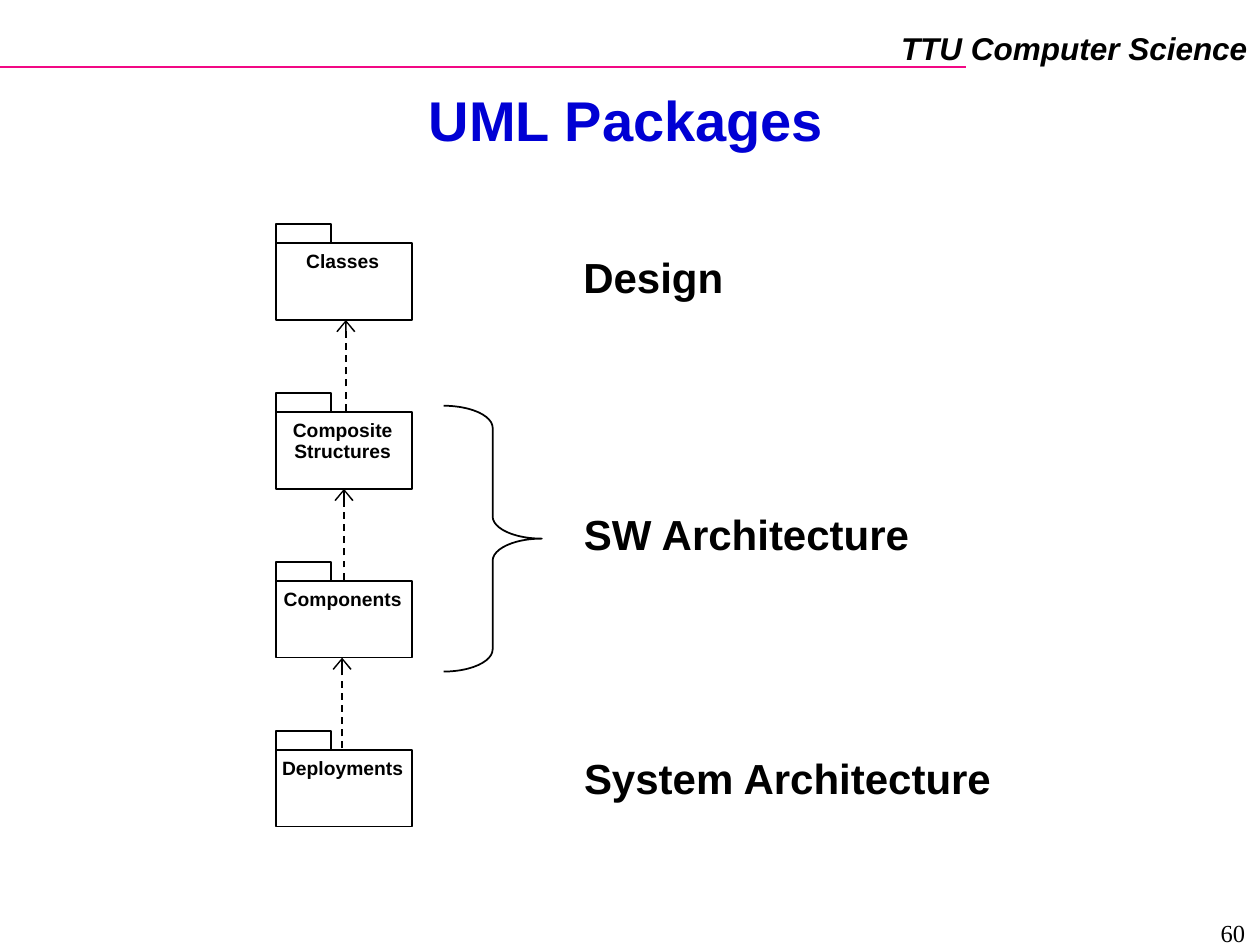
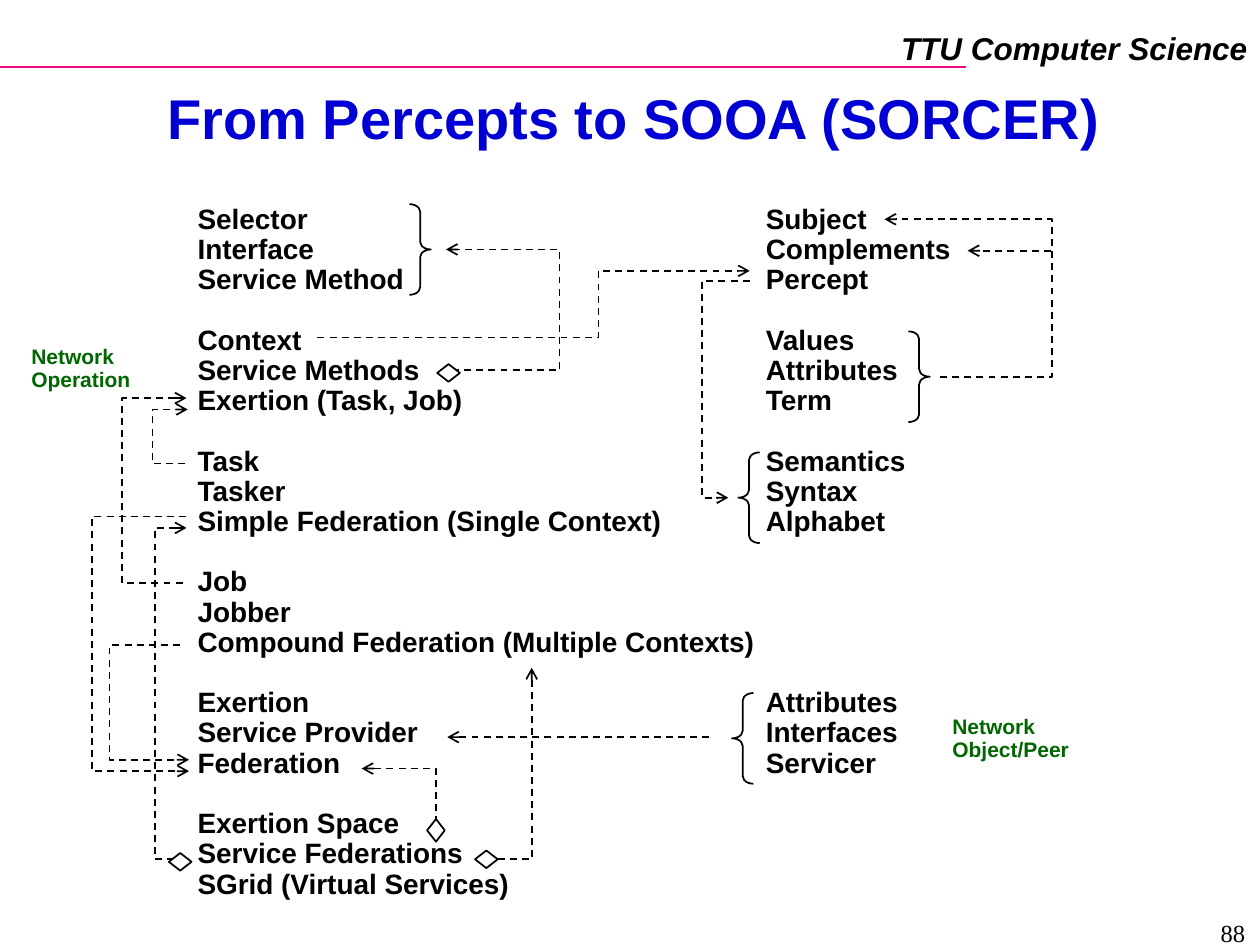
from pptx import Presentation
from pptx.dml.color import RGBColor
from pptx.enum.dml import MSO_LINE
from pptx.enum.shapes import MSO_CONNECTOR, MSO_SHAPE
from pptx.enum.text import MSO_ANCHOR, PP_ALIGN
from pptx.oxml.ns import qn
from pptx.util import Inches, Pt
from lxml.etree import SubElement

BLACK, WHITE, BLUE, PINK, GREEN = "000000", "FFFFFF", "0000D4", "F20884", "006600"
SANS, SERIF = "Arial", "Times New Roman"
LEFT, MID, RIGHT = PP_ALIGN.LEFT, PP_ALIGN.CENTER, PP_ALIGN.RIGHT
ROW = 17.25  # height of one line of the lists, in points


def tint(code):
    return RGBColor.from_string(code)


def write(slide, box, groups, size, align=LEFT, color=BLACK, font=SANS, bold=True,
          italic=False, wrap=False, space=0.9, gaps=(), anchor=MSO_ANCHOR.TOP):
    """Write groups of lines; gaps holds the blank rows before each later group."""
    frame = slide.shapes.add_textbox(*map(Inches, box)).text_frame
    frame.word_wrap = wrap
    frame.vertical_anchor = anchor
    para = None
    for g, group in enumerate(groups):
        for n, line in enumerate(group):
            para = frame.add_paragraph() if para else frame.paragraphs[0]
            para.alignment = align
            para.line_spacing = space
            if g and not n:
                para.space_before = Pt(ROW * gaps[g - 1])
            run = para.add_run()
            run.text = line
            run.font.name, run.font.size = font, Pt(size)
            run.font.bold, run.font.italic = bold, italic
            run.font.color.rgb = tint(color)


def ink(line, color=BLACK, head=None):
    """Style a line; head is the width of its arrowhead, if it has one."""
    line.color.rgb = tint(color)
    line.width = Pt(1)
    if head:
        line.dash_style = MSO_LINE.DASH
        SubElement(line._get_or_add_ln(), qn("a:tailEnd"), type="arrow", w=head)


def draw(slide, kind, box, fill=None):
    item = slide.shapes.add_shape(kind, *map(Inches, box))
    item.shadow.inherit = False
    if fill:
        item.fill.solid()
        item.fill.fore_color.rgb = tint(fill)
    else:
        item.fill.background()
    ink(item.line)
    return item


def brace(slide, kind, box):
    item = draw(slide, kind, box)
    item.adjustments[0] = box[3] / box[2] / 12


def join(slide, start, end, color=BLACK, head="med"):
    ends = map(Inches, (*start, *end))
    line = slide.shapes.add_connector(MSO_CONNECTOR.STRAIGHT, *ends)
    ink(line.line, color, head)
    SubElement(line._element.spPr, qn("a:effectLst"))


def bend(slide, points):
    """Draw a dashed arrow with corners, ending at the last point."""
    first, *rest = [(Inches(x), Inches(y)) for x, y in points]
    pen = slide.shapes.build_freeform(*first)
    pen.add_line_segments(rest, close=False)
    item = pen.convert_to_shape()
    item.shadow.inherit = False
    item.fill.background()
    ink(item.line, head="med")


def base(deck, title, box, number):
    """Add a slide with the header, title and page number."""
    slide = deck.slides.add_slide(deck.slide_layouts[6])
    join(slide, (0, 0.53), (7.67, 0.53), PINK, None)
    write(slide, (7.05, 0.18, 2.95, 0.4), [["TTU Computer Science"]], 18, RIGHT,
          italic=True, space=1.0)
    write(slide, box, [[title]], 32, MID, BLUE, wrap=True, space=0.87,
          anchor=MSO_ANCHOR.MIDDLE)
    write(slide, (7.65, 7.24, 2.33, 0.22), [[number]], 14, RIGHT, font=SERIF,
          bold=False, wrap=True, space=1.0)
    return slide


def package(slide, left, top, lines):
    draw(slide, MSO_SHAPE.RECTANGLE, (left, top + 0.15, 1.08, 0.61))
    draw(slide, MSO_SHAPE.RECTANGLE, (left, top, 0.44, 0.15))
    write(slide, (left - 0.06, top + 0.17, 1.18, 0.27), [lines], 11, MID)


def packages(deck):
    slide = base(deck, "UML Packages", (0.47, 0.71, 9, 0.55), "60")
    for name, top, width in (("Design", 1.99, 1.31), ("SW Architecture", 4.03, 2.79),
                             ("System Architecture", 5.97, 3.44)):
        write(slide, (4.53, top, width, 0.46), [[name]], 24, MID)
    left, top, step = 2.19, 1.78, 1.34
    names = (["Classes"], ["Composite", "Structures"], ["Components"], ["Deployments"])
    for n, lines in enumerate(names):
        y = top + n * step
        package(slide, left, y, lines)
        if n:
            x = left + 0.57 - 0.015 * n
            join(slide, (x, y + 0.14), (x, y - step + 0.76), head="lg")
    brace(slide, MSO_SHAPE.RIGHT_BRACE, (3.52, 3.22, 0.78, 2.11))


SERVICES = [
    ["Selector", "Interface", "Service Method"],
    ["Context", "Service Methods", "Exertion (Task, Job)"],
    ["Task", "Tasker", "Simple Federation (Single Context)"],
    ["Job", "Jobber", "Compound Federation (Multiple Contexts)"],
    ["Exertion", "Service Provider", "Federation"],
    ["Exertion Space", "Service Federations", "SGrid (Virtual Services)"],
]
PERCEPTS = [
    ["Subject", "Complements", "Percept"],
    ["Values", "Attributes", "Term"],
    ["Semantics", "Syntax", "Alphabet"],
    ["Attributes", "Interfaces", "Servicer"],
]
BENDS = [
    [(7.46, 2.99), (8.35, 2.99), (8.35, 1.74), (7.02, 1.74)],
    [(3.49, 2.94), (4.44, 2.94), (4.44, 1.98), (3.54, 1.98)],
    [(1.47, 3.68), (1.21, 3.68), (1.21, 3.25), (1.49, 3.25)],
    [(1.45, 4.63), (0.97, 4.63), (0.97, 3.16), (1.48, 3.16)],
    [(1.48, 6.82), (1.23, 6.82), (1.23, 4.19), (1.48, 4.19)],
    [(3.46, 6.63), (3.46, 6.1), (2.87, 6.1)],
    [(5.95, 2.23), (5.57, 2.23), (5.57, 3.95), (5.78, 3.95)],
    [(2.52, 2.68), (4.75, 2.68), (4.75, 2.15), (5.95, 2.15)],
    [(3.95, 6.82), (4.22, 6.82), (4.22, 5.3)],
    [(1.48, 4.1), (0.73, 4.1), (0.73, 6.12), (1.5, 6.12)],
    [(1.43, 5.12), (0.87, 5.12), (0.87, 6.03), (1.5, 6.03)],
]


def percepts(deck):
    slide = base(deck, "From Percepts to SOOA (SORCER)", (0.53, 0.84, 9, 0.26), "88")
    write(slide, (1.47, 1.58, 4.94, 5.86), SERVICES, 16, wrap=True, gaps=[1] * 5)
    write(slide, (5.98, 1.58, 2.85, 4.9), PERCEPTS, 16, wrap=True, gaps=[1, 1, 5])
    for kind, x, y in ((MSO_SHAPE.RIGHT_BRACE, 7.21, 2.63),
                       (MSO_SHAPE.RIGHT_BRACE, 3.25, 1.62),
                       (MSO_SHAPE.LEFT_BRACE, 5.86, 3.59),
                       (MSO_SHAPE.LEFT_BRACE, 5.81, 5.5)):
        brace(slide, kind, (x, y, 0.17, 0.72))
    for points in BENDS:
        bend(slide, points)
    join(slide, (8.34, 1.99), (7.68, 1.99))
    join(slide, (5.63, 5.85), (3.55, 5.85))
    for x, y, turn in ((3.47, 2.89, 0), (1.34, 6.77, 0), (3.77, 6.75, 0),
                       (3.37, 6.52, 270)):
        draw(slide, MSO_SHAPE.DIAMOND, (x, y, 0.18, 0.14), WHITE).rotation = turn
    for word, x, y, width in (("Object/Peer", 7.46, 5.64, 1.25),
                              ("Operation", 0.15, 2.7, 1.1)):
        write(slide, (x, y, width, 0.46), [["Network", word]], 12, color=GREEN,
              wrap=True)


def main():
    deck = Presentation()
    deck.slide_width, deck.slide_height = Inches(10), Inches(7.5)
    packages(deck)
    percepts(deck)
    deck.save("out.pptx")


if __name__ == "__main__":
    main()
